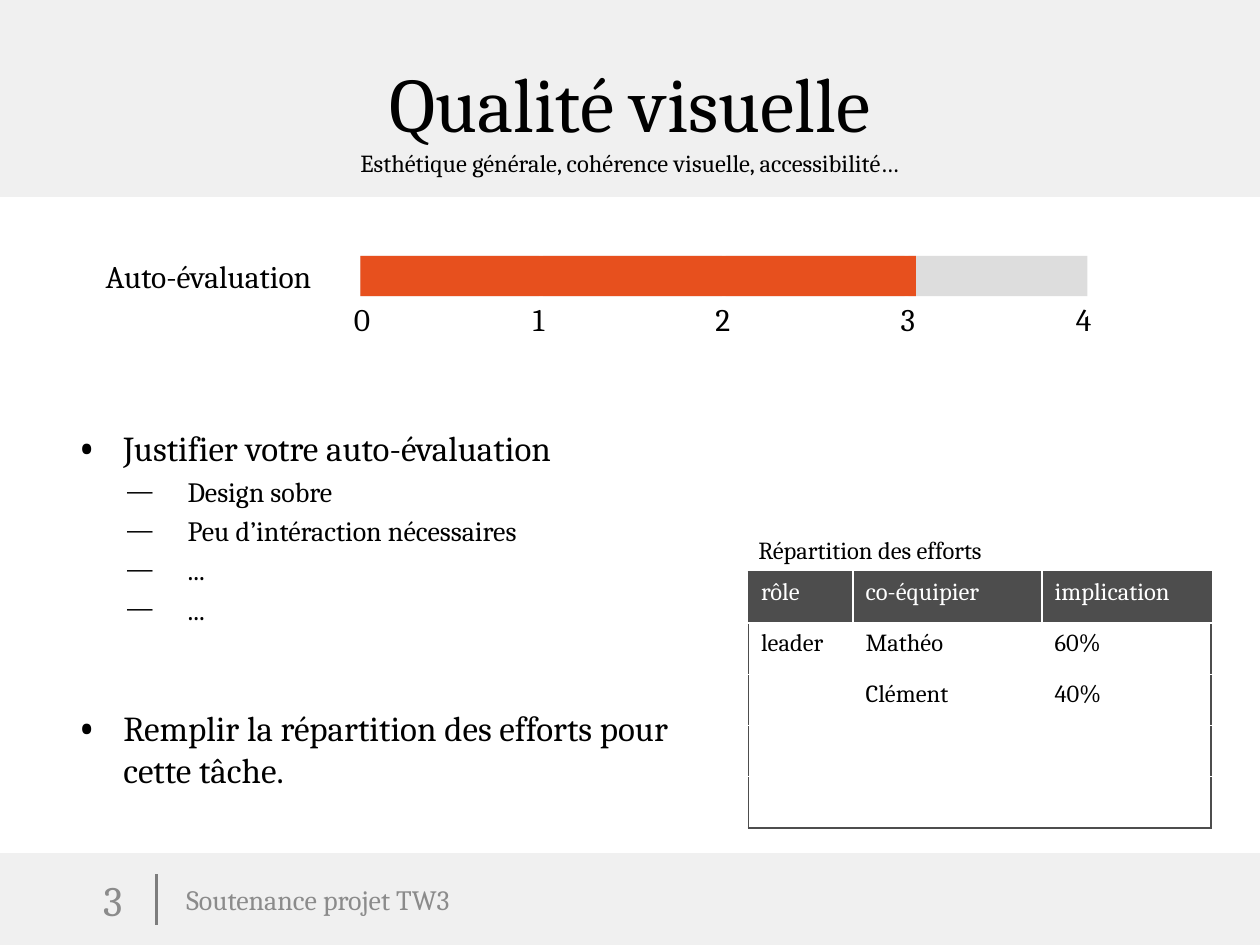
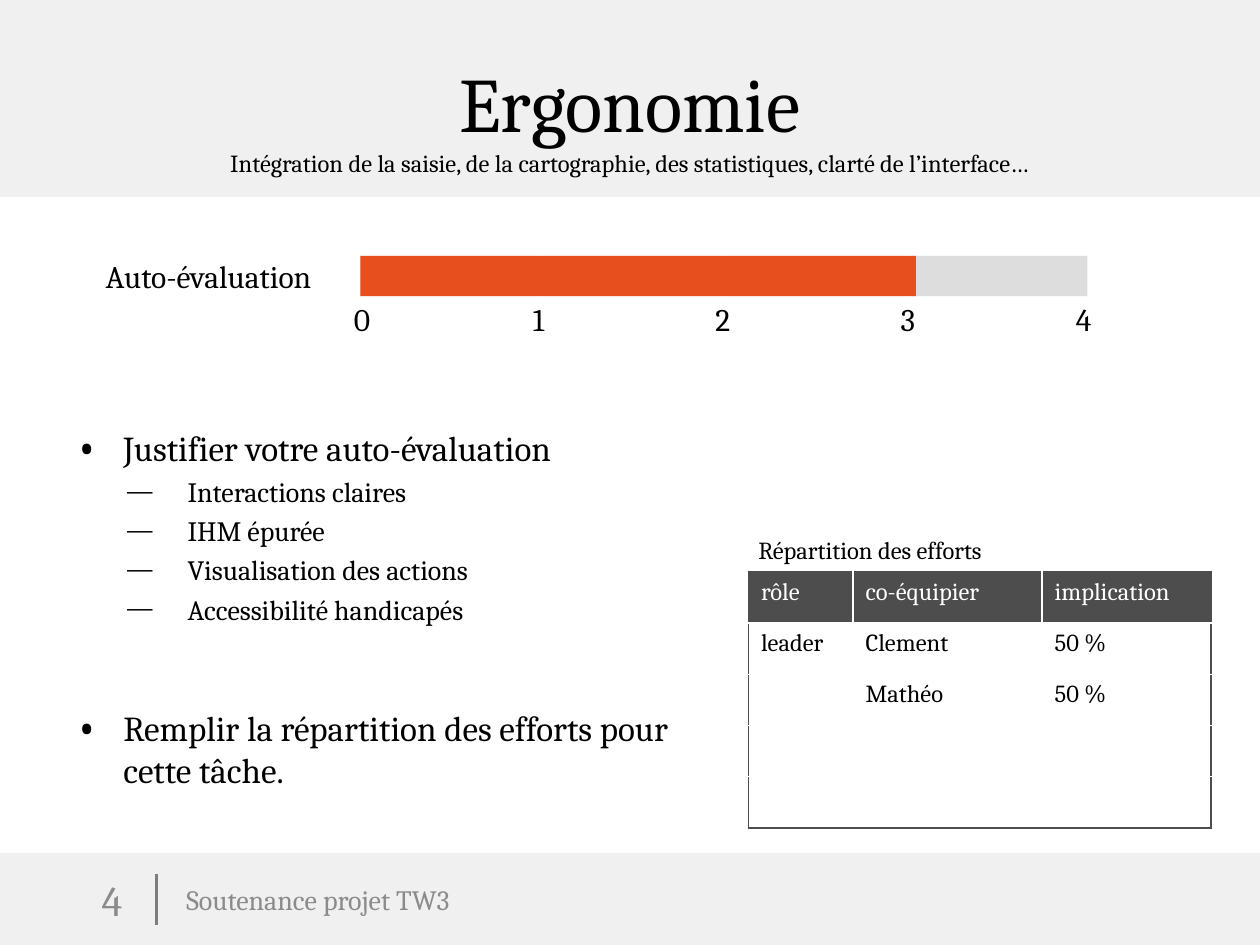
from lxml import etree
from pptx import Presentation, util as u
from pptx.dml.color import RGBColor
from pptx.enum import shapes, text
from pptx.oxml.ns import qn

BLACK = RGBColor(0, 0, 0)
WHITE = RGBColor(255, 255, 255)
BAND = RGBColor(0xF0, 0xF0, 0xF0)
RULE = RGBColor(0x7D, 0x7D, 0x7D)
MUTED = RGBColor(0x8B, 0x8B, 0x8B)
TRACK = RGBColor(0xDD, 0xDD, 0xDD)
SCORE = RGBColor(0xE7, 0x50, 0x1E)
DARK = RGBColor(0x4D, 0x4D, 0x4D)
FONT = "Cambria"
MID = text.MSO_ANCHOR.MIDDLE
HEAD = ["rôle", "co-équipier", "implication"]
WIDTHS = (0.83, 1.5, 1.34)
TICKS = (0, 1.42, 2.87, 4.34, 5.73)

PAGES = [
    dict(
        number=3,
        title="Qualité visuelle",
        topic="Esthétique générale, cohérence visuelle, accessibilité…",
        score=4.41,
        reasons=["Design sobre", "Peu d’intéraction nécessaires", "...", "..."],
        team=[["leader", "Mathéo", "60%"], ["", "Clément", "40%"]],
    ),
    dict(
        number=4,
        title="Ergonomie",
        topic="Intégration de la saisie, de la cartographie, des statistiques, "
              "clarté de l’interface…",
        score=4.41,
        reasons=["Interactions claires", "IHM épurée",
                 "Visualisation des actions", "Accessibilité handicapés"],
        team=[["leader", "Clement", "50 %"], ["", "Mathéo", "50 %"]],
    ),
]


def add_run(para, words, size, color=BLACK):
    run = para.add_run()
    run.text = words
    run.font.name = FONT
    run.font.size = u.Pt(size)
    run.font.color.rgb = color


def add_frame(slide, box, anchor=text.MSO_ANCHOR.TOP):
    frame = slide.shapes.add_textbox(*map(u.Inches, box)).text_frame
    frame.word_wrap = True
    frame.vertical_anchor = anchor
    return frame


def add_label(slide, box, words, size, color=BLACK, **opts):
    para = add_frame(slide, box, **opts).paragraphs[0]
    add_run(para, words, size, color)
    return para


def add_rect(slide, box, color, line=None):
    rect = slide.shapes.add_shape(shapes.MSO_SHAPE.RECTANGLE, *map(u.Inches, box))
    rect.shadow.inherit = False
    rect.fill.solid()
    rect.fill.fore_color.rgb = color
    if line:
        rect.line.color.rgb = color
        rect.line.width = u.Pt(line)
    else:
        rect.line.fill.background()


def draw_header(slide, box, title, topic):
    x, y, w, h = box
    add_rect(slide, box, BAND, 2)
    frame = add_frame(slide, (x + 0.5, y + 0.3, w - 1, h - 0.3), MID)
    para = frame.paragraphs[0]
    para.alignment = text.PP_ALIGN.CENTER
    para.space_before = u.Pt(10.6)
    add_run(para, title, 44)
    para.add_line_break()
    add_run(para, topic, 14)


def draw_footer(slide, box, number):
    x, y, w, h = box
    add_rect(slide, box, BAND, 2)
    top, bar = y + 0.16, x + 1.24
    rule = slide.shapes.add_connector(
        shapes.MSO_CONNECTOR.STRAIGHT,
        *map(u.Inches, (bar, top, bar, top + 0.4)))
    rule.line.color.rgb = RULE
    rule.line.width = u.Pt(1.5)
    etree.SubElement(rule._element.spPr, qn("a:effectLst"))
    add_label(slide, (x + 1.38, top, 4.88, 0.4), "Soutenance projet TW3", 16,
              MUTED, anchor=MID)
    para = add_label(slide, (x + 0.2, top, 0.87, 0.4), str(number), 24,
                     MUTED, anchor=MID)
    para.alignment = text.PP_ALIGN.RIGHT


def draw_gauge(slide, box, score):
    x, y, w, h = box
    add_label(slide, (x, y - 0.04, 2.28, 0.4), "Auto-évaluation", 18)
    left = x + 2.12
    for step in range(4):
        add_rect(slide, (left + step * 1.45, y, 1.42, h), TRACK)
    for mark, shift in enumerate(TICKS):
        add_label(slide, (left - 0.15 + shift, y + 0.3, 0.31, 0.4), str(mark), 18)
    add_rect(slide, (left, y, score, h), SCORE)


def add_bullet(para, words, size, mark, left, hang, before, scale=100):
    para.space_before = u.Pt(before)
    props = para._p.get_or_add_pPr()
    props.set("marL", str(u.Inches(left)))
    props.set("indent", str(-u.Inches(hang)))
    etree.SubElement(props, qn("a:buSzPct"), val=str(scale * 1000))
    etree.SubElement(props, qn("a:buFont"), typeface=FONT)
    etree.SubElement(props, qn("a:buChar"), char=mark)
    add_run(para, words, size)


def draw_body(slide, box, reasons):
    frame = add_frame(slide, box, MID)
    add_bullet(frame.paragraphs[0], "Justifier votre auto-évaluation",
               20, "•", 0.38, 0.38, 24, 150)
    for reason in reasons:
        para = frame.add_paragraph()
        para.level = 1
        add_bullet(para, reason, 16, "—", 0.89, 0.49, 3.2)
    add_bullet(frame.add_paragraph(),
               "Remplir la répartition des efforts pour cette tâche.",
               20, "•", 0.38, 0.38, 46, 150)


def add_edges(cell, outer):
    props = cell._tc.get_or_add_tcPr()
    for spot, side in enumerate("LRTB"):
        line = etree.Element(qn("a:ln" + side), w=str(u.Pt(0.96)))
        fill = etree.SubElement(line, qn("a:solidFill"))
        color = DARK if side in outer else WHITE
        etree.SubElement(fill, qn("a:srgbClr"), val=str(color))
        props.insert(spot, line)


def draw_team(slide, box, team):
    x, y, w, h = box
    rows = [HEAD] + team + [[""] * 3] * 2
    last, end = len(rows) - 1, len(HEAD) - 1
    grid = slide.shapes.add_table(
        len(rows), len(HEAD),
        *map(u.Inches, (x, y + 0.34, w, h - 0.34))).table
    grid.first_row = grid.horz_banding = False
    for col, width in zip(grid.columns, WIDTHS):
        col.width = u.Inches(width)
    for r, row in enumerate(rows):
        for c, words in enumerate(row):
            cell = grid.cell(r, c)
            if r == 0:
                cell.fill.solid()
                cell.fill.fore_color.rgb = DARK
            else:
                cell.fill.background()
            sides = (("L", c == 0), ("R", c == end), ("T", r == 0), ("B", r == last))
            add_edges(cell, [side for side, edge in sides if edge])
            if words:
                add_run(cell.text_frame.paragraphs[0], words, 14,
                        BLACK if r else WHITE)
    add_label(slide, (x - 0.02, y, 2.3, 0.33), "Répartition des efforts", 14)


def draw_page(slide, page):
    draw_footer(slide, (0, 6.78, 10, 0.72), page["number"])
    draw_header(slide, (0, 0, 10, 1.55), page["title"], page["topic"])
    draw_gauge(slide, (0.74, 2.03, 7.89, 0.32), page["score"])
    draw_body(slide, (0.5, 2.96, 5.29, 3.74), page["reasons"])
    draw_team(slide, (5.94, 4.2, 3.67, 2.37), page["team"])


def main():
    deck = Presentation()
    deck.slide_width, deck.slide_height = u.Inches(10), u.Inches(7.5)
    for page in PAGES:
        draw_page(deck.slides.add_slide(deck.slide_layouts[6]), page)
    deck.save("out.pptx")


if __name__ == "__main__":
    main()
